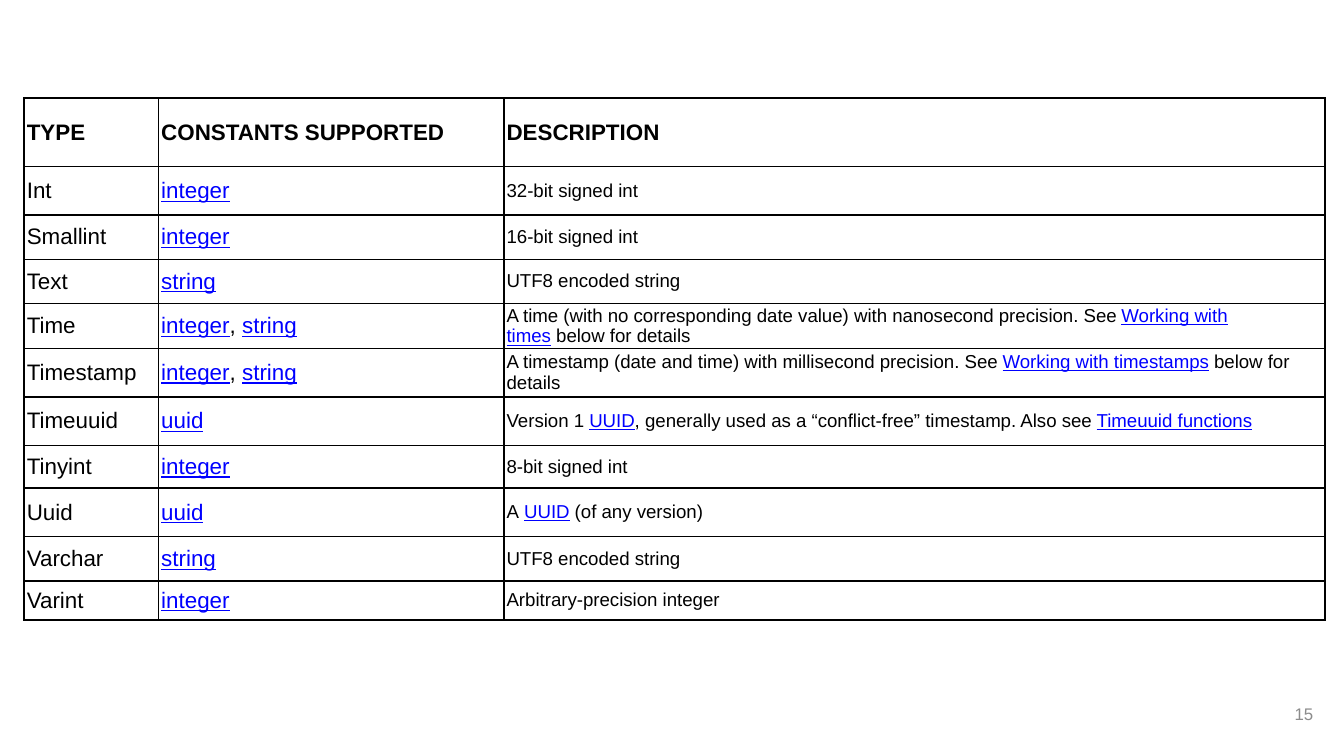
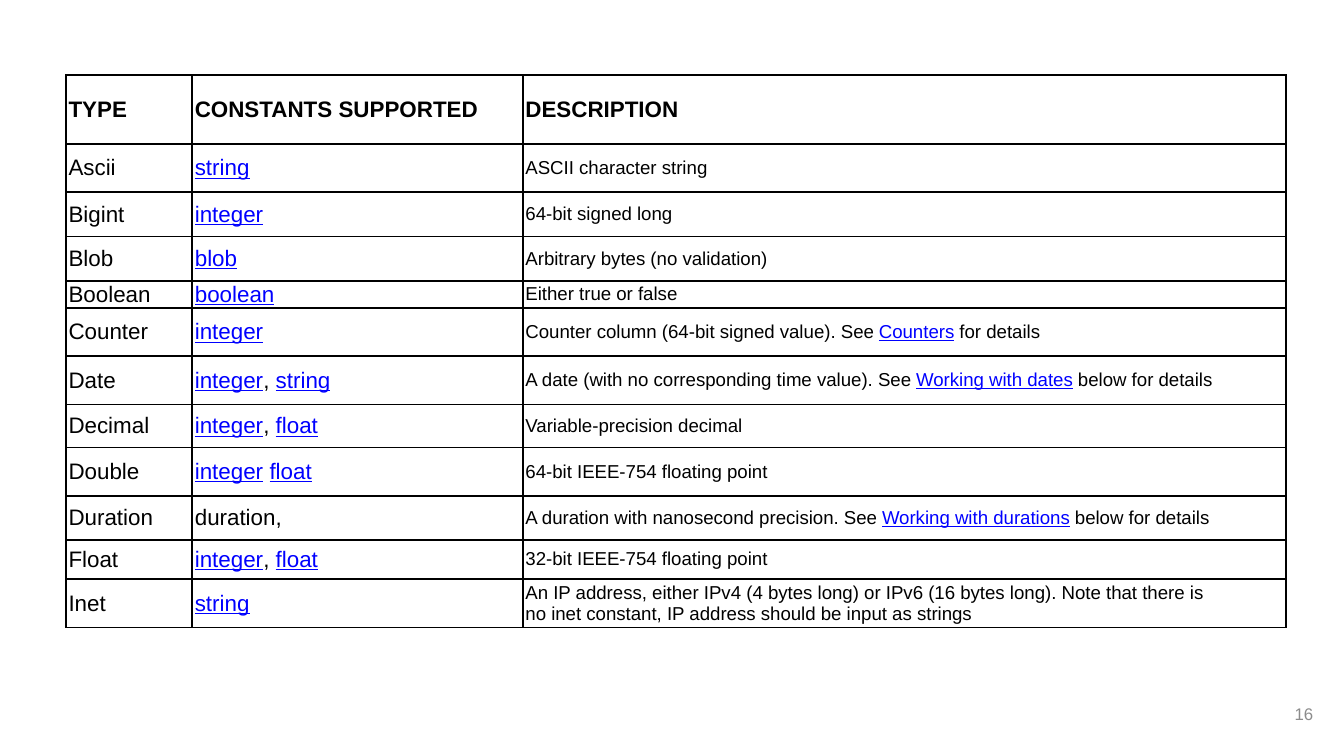
from lxml import etree
from pptx import Presentation
from pptx.dml.color import RGBColor
from pptx.enum import text
from pptx.oxml import ns
from pptx.util import Inches, Pt

FONT = "Arial"
BLACK = RGBColor(0x00, 0x00, 0x00)
LINK_BLUE = RGBColor(0x00, 0x00, 0xFF)
PAGE_GREY = RGBColor(0x8C, 0x8C, 0x8C)
SLIDE_WIDTH = Inches(10)
SLIDE_HEIGHT = SLIDE_WIDTH * 9 // 16

# In the cells, [words] look like a link and ~ is a non-breaking space.
NBSP = chr(160)
HEADER = ("TYPE", "CONSTANTS SUPPORTED", "DESCRIPTION")
COLUMN_SIZES = (12, 12, 10)
HEADER_SIZE = 12
ROW_HEIGHTS = (0.51, 0.36, 0.33, 0.33, 0.16, 0.36, 0.36, 0.32, 0.36, 0.33, 0.29, 0.36)

TYPE_PAGES = [
    {
        "page": 15,
        "corner": (0.18, 0.73),
        "columns": (1, 2.57, 6.11),
        "types": [
            ("Int", "[integer]", "32-bit signed int"),
            ("Smallint", "[integer]", "16-bit signed int"),
            ("Text", "[string]", "UTF8 encoded string"),
            ("Time", "[integer],~[string]",
             "A time (with no corresponding date value) with nanosecond precision. "
             "See~[Working with times]~below for details"),
            ("Timestamp", "[integer],~[string]",
             "A timestamp (date and time) with millisecond precision. "
             "See~[Working with timestamps]~below for details"),
            ("Timeuuid", "[uuid]",
             "Version 1~[UUID], generally used as a “conflict-free” timestamp. "
             "Also see~[Timeuuid functions]"),
            ("Tinyint", "[integer]", "8-bit signed int"),
            ("Uuid", "[uuid]", "A~[UUID]~(of any version)"),
            ("Varchar", "[string]", "UTF8 encoded string"),
            ("Varint", "[integer]", "Arbitrary-precision integer"),
        ],
    },
    {
        "page": 16,
        "corner": (0.49, 0.56),
        "columns": (0.94, 2.46, 5.68),
        "types": [
            ("Ascii", "[string]", "ASCII character string"),
            ("Bigint", "[integer]", "64-bit signed long"),
            ("Blob", "[blob]", "Arbitrary bytes (no validation)"),
            ("Boolean", "[boolean]", "Either~true~or~false"),
            ("Counter", "[integer]",
             "Counter column (64-bit signed value). See~[Counters]~for details"),
            ("Date", "[integer],~[string]",
             "A date (with no corresponding time value). "
             "See~[Working with dates]~below for details"),
            ("Decimal", "[integer],~[float]", "Variable-precision decimal"),
            ("Double", "[integer]~[float]", "64-bit IEEE-754 floating point"),
            ("Duration", "duration,",
             "A duration with nanosecond precision. "
             "See~[Working with durations]~below for details"),
            ("Float", "[integer],~[float]", "32-bit IEEE-754 floating point"),
            ("Inet", "[string]",
             "An IP address, either IPv4 (4 bytes long) or IPv6 (16 bytes long). "
             "Note that there is no~inet~constant, IP address should be input as strings"),
        ],
    },
]


def add_run(paragraph, words, size, color, bold=False, underline=False):
    run = paragraph.add_run()
    run.text = words
    font = run.font
    font.name, font.size = FONT, Pt(size)
    font.bold, font.underline = bold, underline
    font.color.rgb = color


def write_marked(paragraph, marked, size, bold):
    """Split the marked words into plain and link-like runs."""
    pieces = marked.replace("~", NBSP).replace("]", "[").split("[")
    for i, words in enumerate(pieces):
        is_link = i % 2 == 1
        if words:
            add_run(paragraph, words, size, LINK_BLUE if is_link else BLACK, bold, is_link)


def add_borders(cell):
    properties = cell._tc.get_or_add_tcPr()
    for side in ("lnL", "lnR", "lnT", "lnB"):
        line = etree.SubElement(properties, ns.qn(f"a:{side}"), w=str(Pt(1)))
        fill = etree.SubElement(line, ns.qn("a:solidFill"))
        etree.SubElement(fill, ns.qn("a:srgbClr"), val=str(BLACK))


def fill_cell(cell, marked, size, bold):
    cell.vertical_anchor = text.MSO_ANCHOR.MIDDLE
    cell.margin_left, cell.margin_right = Inches(0.02), Inches(0.03)
    cell.margin_top = cell.margin_bottom = 0
    add_borders(cell)
    cell.fill.background()
    write_marked(cell.text_frame.paragraphs[0], marked, size, bold)


def add_type_table(slide, corner, columns, types):
    rows = [HEADER, *types]
    heights = ROW_HEIGHTS[:len(rows)]
    left, top = corner
    table = slide.shapes.add_table(
        len(rows), len(columns), Inches(left), Inches(top),
        Inches(sum(columns)), Inches(sum(heights))).table
    table.first_row = table.horz_banding = False
    for column, width in zip(table.columns, columns):
        column.width = Inches(width)
    for r, (row, height) in enumerate(zip(rows, heights)):
        table.rows[r].height = Inches(height)
        is_header = r == 0
        for c, (marked, size) in enumerate(zip(row, COLUMN_SIZES)):
            fill_cell(table.cell(r, c), marked, HEADER_SIZE if is_header else size, is_header)


def add_page_number(slide, page):
    frame = slide.shapes.add_textbox(
        Inches(9.27), Inches(5.1), Inches(0.6), Inches(0.43)).text_frame
    frame.word_wrap = True
    frame.vertical_anchor = text.MSO_ANCHOR.MIDDLE
    frame.margin_left = frame.margin_right = Inches(0.1)
    frame.margin_top = frame.margin_bottom = Inches(0.1)
    paragraph = frame.paragraphs[0]
    paragraph.alignment = text.PP_ALIGN.RIGHT
    add_run(paragraph, str(page), 9, PAGE_GREY)


def main():
    deck = Presentation()
    deck.slide_width, deck.slide_height = SLIDE_WIDTH, SLIDE_HEIGHT
    blank = deck.slide_layouts[6]
    for content in TYPE_PAGES:
        slide = deck.slides.add_slide(blank)
        add_page_number(slide, content["page"])
        add_type_table(slide, content["corner"], content["columns"], content["types"])
    deck.save("out.pptx")


if __name__ == "__main__":
    main()
